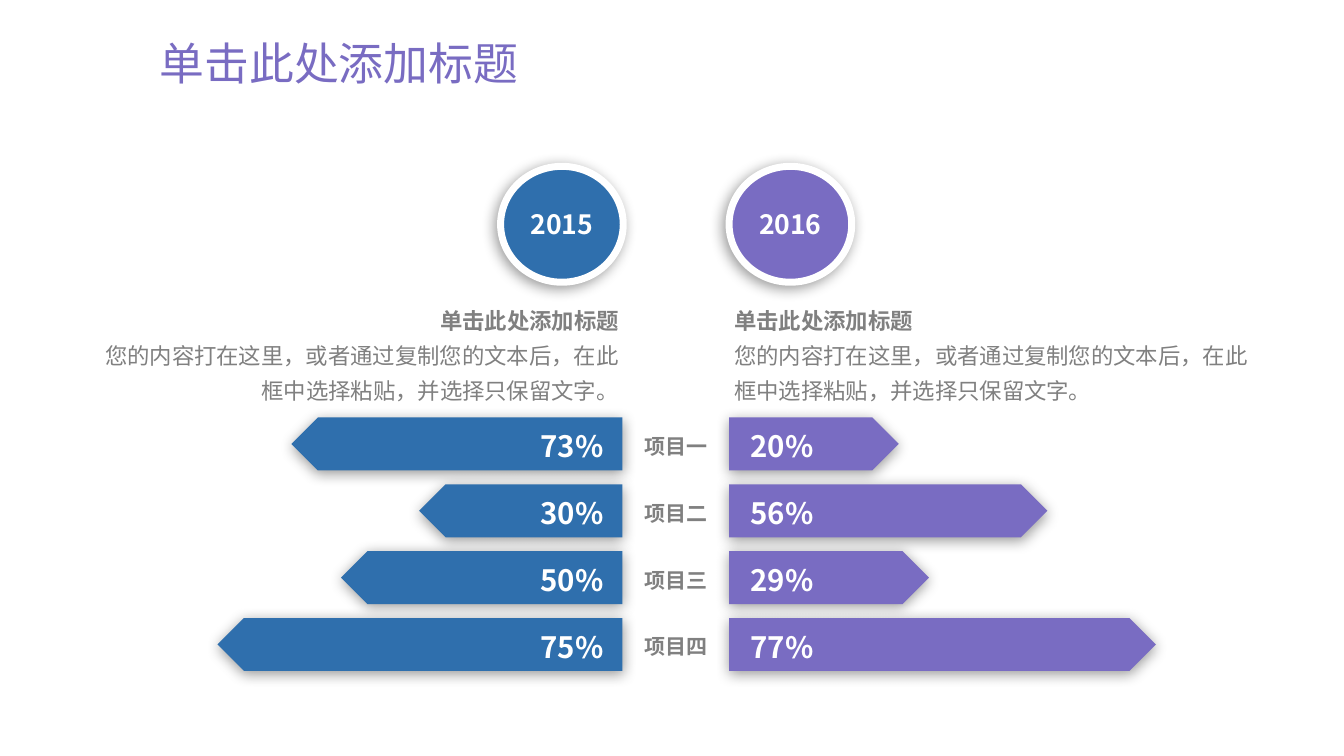
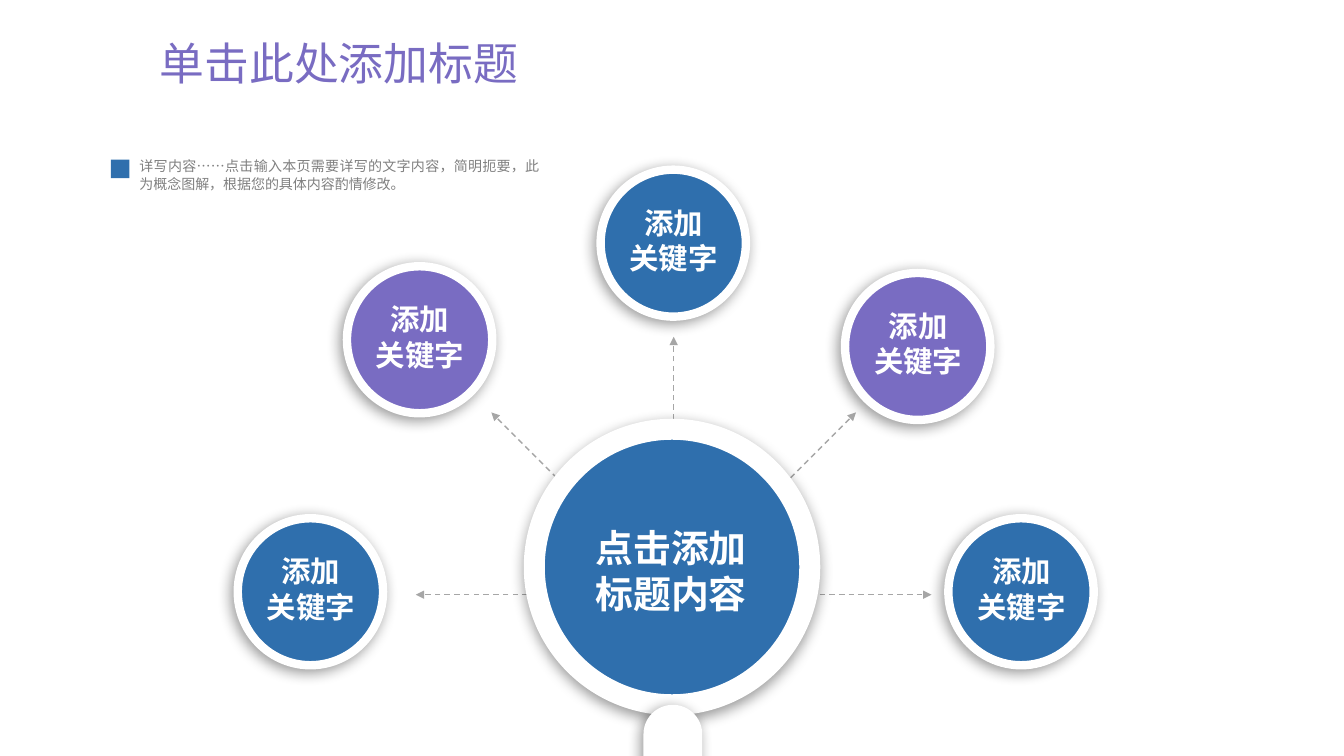
from dataclasses import dataclass
from math import cos, radians, sin

from lxml.etree import SubElement as Sub
from pptx import Presentation
from pptx.dml.color import RGBColor as RGB
from pptx.enum.dml import MSO_LINE_DASH_STYLE as Dash
from pptx.enum.lang import MSO_LANGUAGE_ID as Lang
from pptx.enum.shapes import MSO_CONNECTOR as Link
from pptx.enum.shapes import MSO_SHAPE as Kind
from pptx.enum.text import MSO_ANCHOR as Anchor
from pptx.enum.text import MSO_AUTO_SIZE as Fit
from pptx.enum.text import PP_ALIGN as Align
from pptx.oxml.ns import qn
from pptx.util import Inches, Pt


@dataclass(frozen=True)
class Theme:
    blue: str = "2F6FAD"
    violet: str = "796CC2"
    white: str = "FFFFFF"
    gray: str = "808080"
    rule: str = "A6A6A6"
    sans: str = "Noto Sans CJK SC"
    head: str = "Montserrat"
    title: int = 32
    hub: int = 27
    key: int = 21
    year: int = 19
    body: int = 16
    label: int = 15
    note: int = 10


look = Theme()
deck = Presentation()
deck.slide_width, deck.slide_height = Inches(13.33), Inches(7.5)
COL, ROW = deck.slide_width / 160, deck.slide_height / 90


def draw(slide, kind, spot, fill=None, rim=0, cast=None):
    x, y, w, h = spot
    area = [round(n) for n in (x * COL, y * ROW, w * COL, h * ROW)]
    if kind is None:
        return slide.shapes.add_textbox(*area)
    shape = slide.shapes.add_shape(kind, *area)
    shape.fill.solid()
    shape.fill.fore_color.rgb = RGB.from_string(fill)
    if rim:
        shape.line.color.rgb = RGB.from_string(look.white)
        shape.line.width = Pt(rim)
    else:
        shape.line.fill.background()
    shape.shadow.inherit = False
    if cast:
        dist, turn = cast
        glow = Sub(shape._element.spPr.find(qn("a:effectLst")), qn("a:outerShdw"),
                   blurRad=str(Pt(10)), dist=str(Pt(dist)),
                   dir=str(turn * 60000), rotWithShape="0")
        tint = Sub(glow, qn("a:srgbClr"), val="000000")
        Sub(tint, qn("a:alpha"), val="40000")
    return shape


def write(shape, lines, size, color, bold=(True, True), align=Align.CENTER,
          lead=None, pad=(1.2, 0.6), wrap=True, anchor=Anchor.TOP, face=look.sans):
    frame = shape.text_frame
    frame.auto_size = Fit.NONE
    frame.word_wrap = wrap
    frame.vertical_anchor = anchor
    frame.margin_left = frame.margin_right = round(pad[0] * COL)
    frame.margin_top = frame.margin_bottom = round(pad[1] * ROW)
    for i, (line, heavy) in enumerate(zip(lines, bold)):
        para = frame.add_paragraph() if i else frame.paragraphs[0]
        para.alignment = align
        if lead:
            para.line_spacing = lead
        run = para.add_run()
        run.text = line
        font = run.font
        font.size, font.bold, font.name = Pt(size), heavy, face
        font.color.rgb = RGB.from_string(color)
        font.language_id = Lang.SIMPLIFIED_CHINESE
        Sub(run._r.get_or_add_rPr(), qn("a:ea"), typeface=look.sans)


slides = [deck.slides.add_slide(deck.slide_layouts[5]) for _ in range(2)]
for slide in slides:
    title = slide.shapes.title
    title.left, title.top = round(17.8 * COL), round(4.3 * ROW)
    title.width, title.height = round(138 * COL), round(7.1 * ROW)
    write(title, ["单击此处添加标题"], look.title, look.violet, bold=[False],
          align=Align.LEFT, lead=0.9, anchor=Anchor.MIDDLE, face=look.head)

bars, wheel = slides
HEAD = "单击此处添加标题"
BODY = "您的内容打在这里，或者通过复制您的文本后，在此框中选择粘贴，并选择只保留文字。"
LEFT, RIGHT = 74.1, 86.8
TOP, STEP, THICK = 49.7, 7.96, 6.3

rows = [
    ("项目一", "73%", 39.4, "20%", 20.2),
    ("项目二", "30%", 24.2, "56%", 37.9),
    ("项目三", "50%", 33.5, "29%", 23.8),
    ("项目四", "75%", 48.2, "77%", 50.8),
]
for i, (name, old, span, new, reach) in enumerate(rows):
    y = TOP + i * STEP
    bar = draw(bars, Kind.PENTAGON, (LEFT - span, y, span, THICK), look.blue, cast=(2, 90))
    bar._element.spPr.find(qn("a:xfrm")).set("flipH", "1")
    draw(bars, Kind.PENTAGON, (RIGHT, y, reach, THICK), look.violet, cast=(2, 90))
    for x, value in ((63, old), (88, new)):
        tag = draw(bars, None, (x, y + 0.7, 10.2, 5.5))
        write(tag, [value], look.key, look.white, wrap=False)
    tag = draw(bars, None, (75.5, y + 1.3, 10, 4.2))
    write(tag, [name], look.label, look.gray, wrap=False)

sides = [
    ("2016", RIGHT, look.violet, RIGHT, 65, Align.LEFT),
    ("2015", 59.6, look.blue, 10.7, 63.6, Align.RIGHT),
]
for year, x, color, edge, span, align in sides:
    disc = draw(bars, Kind.OVAL, (x, 19.8, 14.6, 13.8), color, 5, (3, 135))
    write(disc, [year], look.year, look.white, anchor=Anchor.MIDDLE)
    text = draw(bars, None, (edge, 35.4, span, 13.2))
    write(text, [HEAD, BODY], look.body, look.gray, bold=(True, False),
          align=align, lead=1.3, pad=(0.6, 0.24))

MIDX, MIDY, REACH = 80.2, 70.8, 30.7
for turn in range(0, 181, 45):
    ends = (MIDX * COL, MIDY * ROW,
            (MIDX + REACH * cos(radians(turn))) * COL,
            (MIDY - REACH * sin(radians(turn))) * ROW)
    ray = wheel.shapes.add_connector(Link.STRAIGHT, *[round(n) for n in ends])
    ray.line.color.rgb = RGB.from_string(look.rule)
    ray.line.width = Pt(1)
    ray.line.dash_style = Dash.DASH
    props = ray._element.spPr
    Sub(props.find(qn("a:ln")), qn("a:tailEnd"), type="triangle")
    Sub(props, qn("a:effectLst"))

draw(wheel, Kind.OVAL, (63.6, 51.1, 32.8, 32.8), look.blue, 15, (3, 100))
grip = draw(wheel, Kind.ROUNDED_RECTANGLE, (76.6, 83.9, 7, 14.1), look.white, cast=(3, 135))
grip.adjustments[0] = 0.5
hub = draw(wheel, None, (67.1, 61.7, 25.6, 12.5))
write(hub, ["点击添加", "标题内容"], look.hub, look.white, pad=(1.6, 0.8))

spots = [(28.3, 61.7), (41.3, 31.7), (71.5, 20.2), (100.6, 32.5), (112.9, 61.7)]
for i, (x, y) in enumerate(spots):
    color = look.violet if i % 2 else look.blue
    draw(wheel, Kind.OVAL, (x, y, 17.3, 17.5), color, 6, (3, 135))
    word = draw(wheel, None, (x + 0.9, y + 3.2, 15.6, 10.6))
    write(word, ["添加", "关键字"], look.key, look.white, pad=(1.9, 1))

note = draw(wheel, None, (16.6, 18.6, 47.6, 4.3))
write(note, ["详写内容……点击输入本页需要详写的文字内容，简明扼要，此为概念图解，根据您的具体内容酌情修改。"],
      look.note, look.gray, bold=[False], align=Align.JUSTIFY, lead=Pt(13), pad=(0, 0))
draw(wheel, Kind.RECTANGLE, (13.2, 19, 2.2, 2.2), look.blue)

deck.save("out.pptx")
